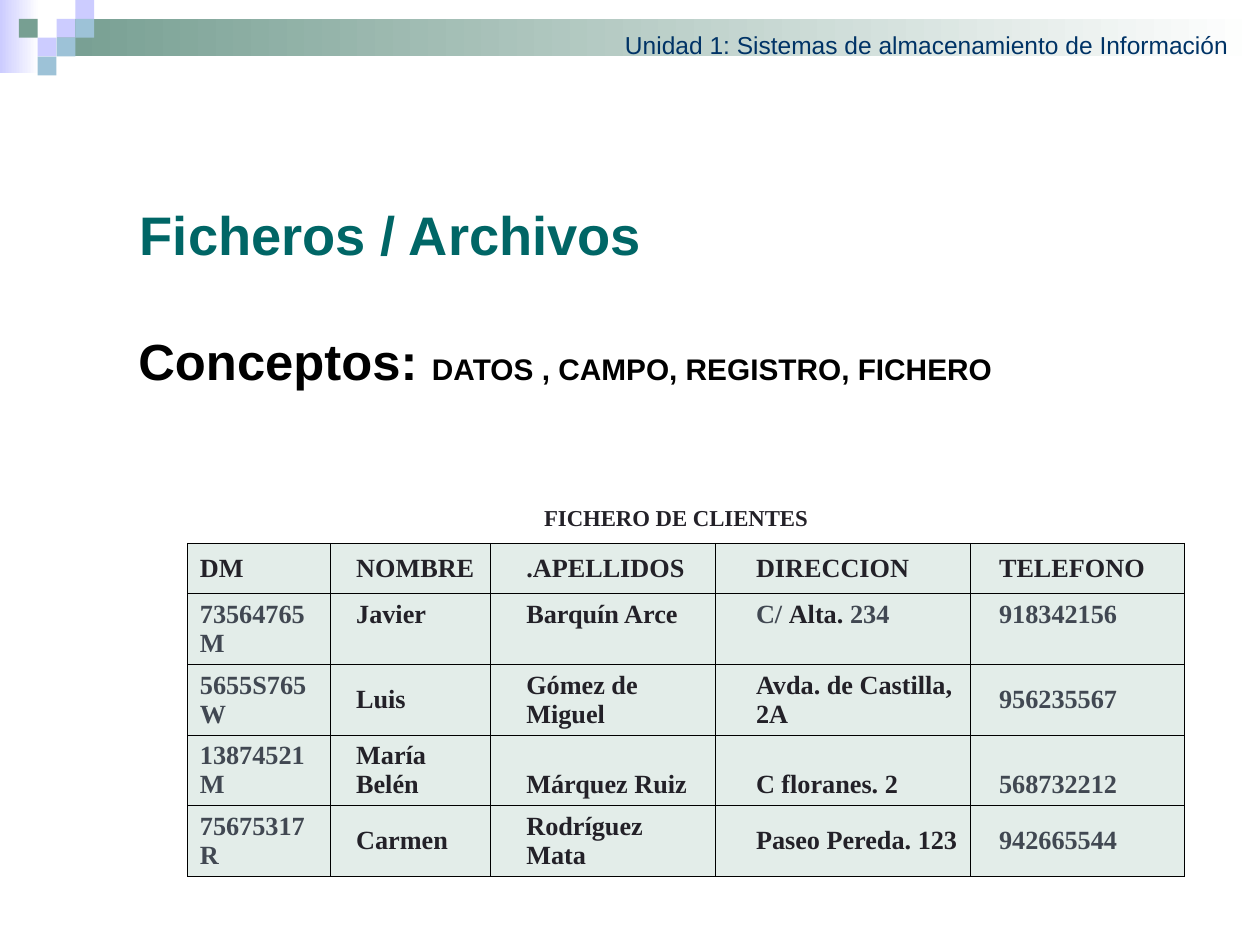
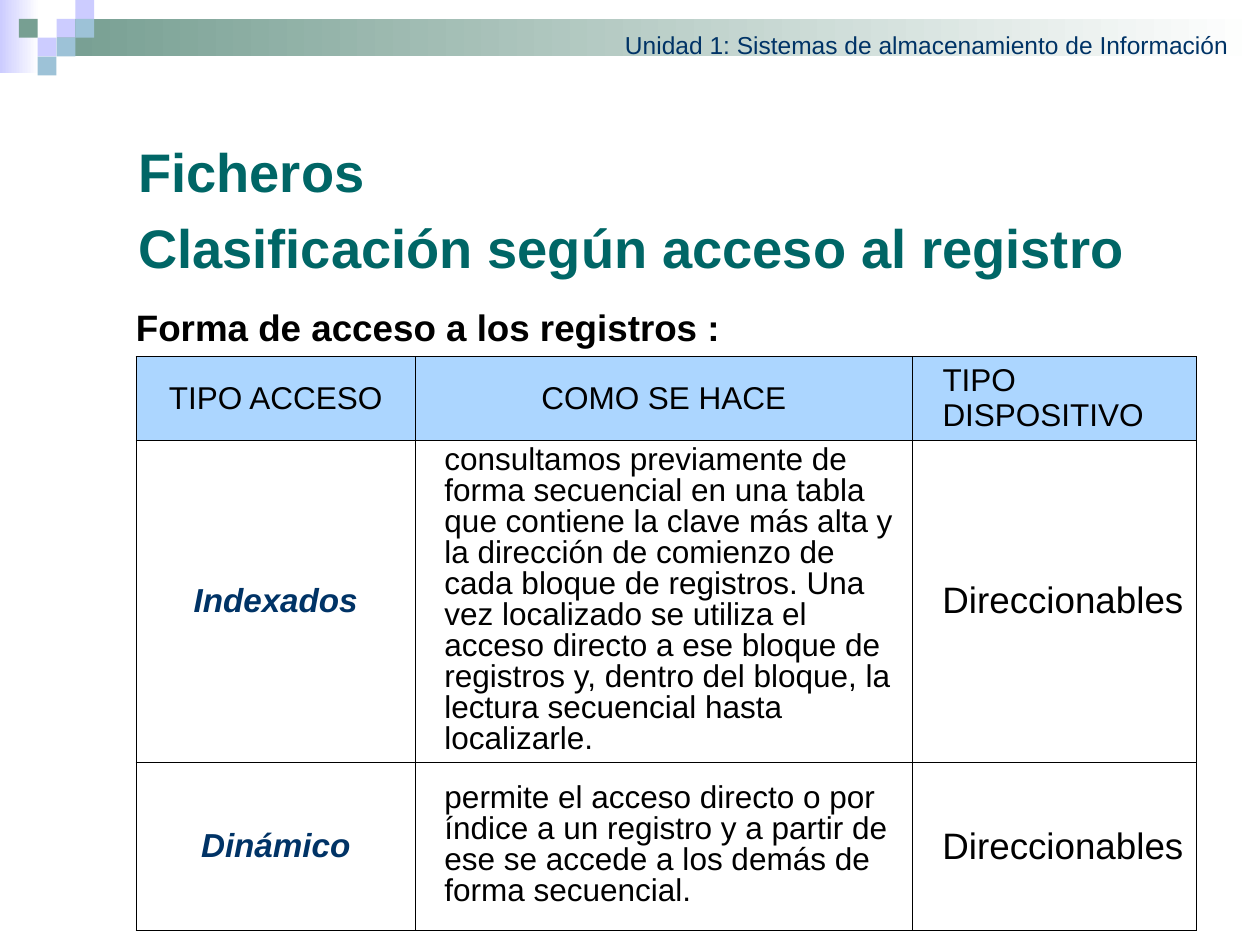
from dataclasses import dataclass, replace

from lxml.etree import SubElement
from pptx import Presentation
from pptx.dml.color import RGBColor
from pptx.enum.shapes import MSO_SHAPE
from pptx.enum.text import MSO_ANCHOR, MSO_AUTO_SIZE, PP_ALIGN
from pptx.oxml.ns import qn
from pptx.util import Cm, Pt


@dataclass(frozen=True)
class TextStyle:
    size: float
    color: str
    font: str = "Arial"
    bold: bool = False
    italic: bool = False


@dataclass(frozen=True)
class Theme:
    white: str = "FFFFFF"
    lavender: str = "CCCCFF"
    sage: str = "779F92"
    sky: str = "9DC2D7"
    border: str = "000000"
    client_fill: str = "E3EDE9"
    header_fill: str = "ACD6FF"
    unit: TextStyle = TextStyle(14, "003366")
    title: TextStyle = TextStyle(31, "006666", bold=True)
    concept: TextStyle = TextStyle(29, "000000", bold=True)
    concept_list: TextStyle = TextStyle(17, "000000", bold=True)
    subtitle: TextStyle = TextStyle(21, "000000", bold=True)
    caption: TextStyle = TextStyle(13, "232128", "Times New Roman", True)
    client: TextStyle = TextStyle(15, "232128", "Times New Roman", True)
    client_number: TextStyle = TextStyle(15, "414852", "Times New Roman", True)
    body: TextStyle = TextStyle(18, "000000")
    access: TextStyle = TextStyle(19, "003366", bold=True, italic=True)
    device: TextStyle = TextStyle(21, "000000")


@dataclass(frozen=True)
class Cell:
    runs: tuple
    fill: str = ""
    anchor: MSO_ANCHOR = MSO_ANCHOR.MIDDLE
    align: PP_ALIGN = PP_ALIGN.LEFT
    indent: float = 0
    line_spacing: float = 0


class Deck:
    TILE = 0.38
    CELL_MARGIN = 0.25

    def __init__(self, theme):
        self.theme = theme
        self.presentation = Presentation()
        self.presentation.slide_width = Cm(25.4)
        self.presentation.slide_height = Cm(19.05)
        self.slide = None

    def new_slide(self):
        self.slide = self.presentation.slides.add_slide(self.presentation.slide_layouts[5])
        self.header()

    def header(self):
        theme, tile = self.theme, self.TILE
        self.block(0, 0, 0.79, 1.47, theme.lavender, fade=True)
        self.block(3 * tile, tile, 25.4 - 3 * tile, 2 * tile, theme.sage, fade=True)
        mosaic = (
            (3, 1, theme.lavender), (4, 0, theme.lavender), (4, 1, theme.sky),
            (2, 2, theme.lavender), (1, 1, theme.sage), (3, 2, theme.sky),
            (2, 3, theme.sky),
        )
        for column, row, color in mosaic:
            self.block(column * tile, row * tile, tile, tile, color)
        self.text(12.6, 0.61, 12.17, 0.48,
                  ("Unidad 1: Sistemas de almacenamiento de Información", theme.unit))

    def block(self, left, top, width, height, color, fade=False):
        block = self.slide.shapes.add_shape(
            MSO_SHAPE.RECTANGLE, Cm(left), Cm(top), Cm(width), Cm(height))
        block.shadow.inherit = False
        block.line.fill.background()
        if fade:
            block.fill.gradient()
            block.fill.gradient_angle = 0
            for stop, shade in zip(block.fill.gradient_stops, (color, self.theme.white)):
                stop.color.rgb = RGBColor.from_string(shade)
        else:
            block.fill.solid()
            block.fill.fore_color.rgb = RGBColor.from_string(color)

    def add_runs(self, paragraph, runs):
        for wording, style in runs:
            run = paragraph.add_run()
            run.text = wording
            run.font.name = style.font
            run.font.size = Pt(style.size)
            run.font.bold = style.bold
            run.font.italic = style.italic
            run.font.color.rgb = RGBColor.from_string(style.color)

    def frame(self, shape, wrap):
        frame = shape.text_frame
        frame.word_wrap = wrap
        frame.auto_size = MSO_AUTO_SIZE.NONE
        frame.vertical_anchor = MSO_ANCHOR.TOP
        frame.margin_left = frame.margin_right = 0
        frame.margin_top = frame.margin_bottom = 0
        return frame

    def text(self, left, top, width, height, *runs):
        box = self.slide.shapes.add_textbox(Cm(left), Cm(top), Cm(width), Cm(height))
        self.add_runs(self.frame(box, False).paragraphs[0], runs)

    def title(self, left, top, width, height, *lines):
        title = self.slide.shapes.title
        title.left, title.top = Cm(left), Cm(top)
        title.width, title.height = Cm(width), Cm(height)
        frame = self.frame(title, True)
        for index, line in enumerate(lines):
            paragraph = frame.add_paragraph() if index else frame.paragraphs[0]
            paragraph.alignment = PP_ALIGN.LEFT
            if index < len(lines) - 1:
                paragraph.space_after = Pt(6.2)
            self.add_runs(paragraph, [(line, self.theme.title)])

    def table(self, left, top, widths, heights, rows):
        table = self.slide.shapes.add_table(
            len(heights), len(widths), Cm(left), Cm(top),
            Cm(sum(widths)), Cm(sum(heights))).table
        table.first_row = table.horz_banding = False
        for column, width in zip(table.columns, widths):
            column.width = Cm(width)
        for row, height, contents in zip(table.rows, heights, rows):
            row.height = Cm(height)
            for cell, content in zip(row.cells, contents):
                self.fill_cell(cell, content)

    def fill_cell(self, cell, content):
        self.outline(cell)
        if content.fill:
            cell.fill.solid()
            cell.fill.fore_color.rgb = RGBColor.from_string(content.fill)
        else:
            cell.fill.background()
        cell.vertical_anchor = content.anchor
        cell.margin_left = Cm(self.CELL_MARGIN + content.indent)
        paragraph = cell.text_frame.paragraphs[0]
        paragraph.alignment = content.align
        if content.line_spacing:
            paragraph.line_spacing = Pt(content.line_spacing)
        self.add_runs(paragraph, content.runs)

    def outline(self, cell):
        properties = cell._tc.get_or_add_tcPr()
        for side in ("lnL", "lnR", "lnT", "lnB"):
            line = SubElement(properties, qn(f"a:{side}"), w=str(Pt(0.45)))
            solid = SubElement(line, qn("a:solidFill"))
            SubElement(solid, qn("a:srgbClr"), val=self.theme.border)

    def save(self):
        self.presentation.save("out.pptx")


def client_rows(theme):
    name, number = theme.client, theme.client_number
    clients = (
        ("73564765M", "Javier", "Barquín Arce", None, "918342156"),
        ("5655S765W", "Luis", "Gómez de Miguel", "Avda. de Castilla, 2A", "956235567"),
        ("13874521M", "María Belén", "Márquez Ruiz", "C floranes. 2", "568732212"),
        ("75675317R", "Carmen", "Rodríguez Mata", "Paseo Pereda. 123", "942665544"),
    )
    mixed_address = (("C/ ", number), ("Alta. ", name), ("234", number))
    headings = ("DM", "NOMBRE", ".APELLIDOS", "DIRECCION", "TELEFONO")
    indents = (0, 0.28, 0.48, 0.56, 0.33)
    middle = MSO_ANCHOR.MIDDLE
    anchors = (MSO_ANCHOR.TOP, middle, MSO_ANCHOR.BOTTOM, middle)
    field_styles = (number, name, name, name, number)
    rows = [[Cell(((heading, name),), theme.client_fill, indent=indent)
             for heading, indent in zip(headings, indents)]]
    for client, anchor in zip(clients, anchors):
        rows.append([
            Cell(((field, style),) if field else mixed_address,
                 theme.client_fill, anchor, indent=indent)
            for field, style, indent in zip(client, field_styles, indents)])
    return rows


def access_rows(theme):
    center = PP_ALIGN.CENTER
    heading = Cell((), theme.header_fill, align=center)
    rows = [[
        replace(heading, runs=(("TIPO ACCESO", theme.body),)),
        replace(heading, runs=(("COMO SE HACE", theme.body),)),
        replace(heading, runs=(("TIPO DISPOSITIVO", theme.body),),
                align=PP_ALIGN.LEFT, indent=0.36),
    ]]
    methods = (
        ("Indexados",
         "consultamos previamente de forma secuencial en una tabla que contiene la clave "
         "más alta y la dirección de comienzo de cada bloque de registros. Una vez "
         "localizado se utiliza el acceso directo a ese bloque de registros y, dentro "
         "del bloque, la lectura secuencial hasta localizarle."),
        ("Dinámico",
         "permite el acceso directo o por índice a un registro y a partir de ese se "
         "accede a los demás de forma secuencial."),
    )
    for access, procedure in methods:
        rows.append([
            Cell(((access, theme.access),), align=center),
            Cell(((procedure, theme.body),), indent=0.33, line_spacing=17.7),
            Cell((("Direccionables", theme.device),), align=PP_ALIGN.RIGHT),
        ])
    return rows


def main():
    theme = Theme()
    deck = Deck(theme)

    deck.new_slide()
    deck.title(2.82, 4.06, 10.44, 0.91, "Ficheros / Archivos")
    deck.text(2.79, 6.65, 18.16, 1.14,
              ("Conceptos: ", theme.concept),
              ("DATOS , CAMPO, REGISTRO, FICHERO", theme.concept_list))
    deck.text(10.97, 10.16, 5.72, 0.48, ("FICHERO DE CLIENTES", theme.caption))
    deck.table(3.78, 10.95, (2.87, 3.23, 4.55, 5.13, 4.32),
               (1.02, 0.84, 1.27, 0.97, 1.12), client_rows(theme))

    deck.new_slide()
    deck.title(2.79, 2.79, 20.52, 2.39,
               "Ficheros", "Clasificación según acceso al registro")
    deck.text(2.74, 6.15, 12.47, 0.89,
              ("Forma de acceso a los registros :", theme.subtitle))
    deck.table(2.74, 7.19, (5.64, 10.01, 5.72), (1.52, 5.64, 3.4), access_rows(theme))

    deck.save()


if __name__ == "__main__":
    main()
